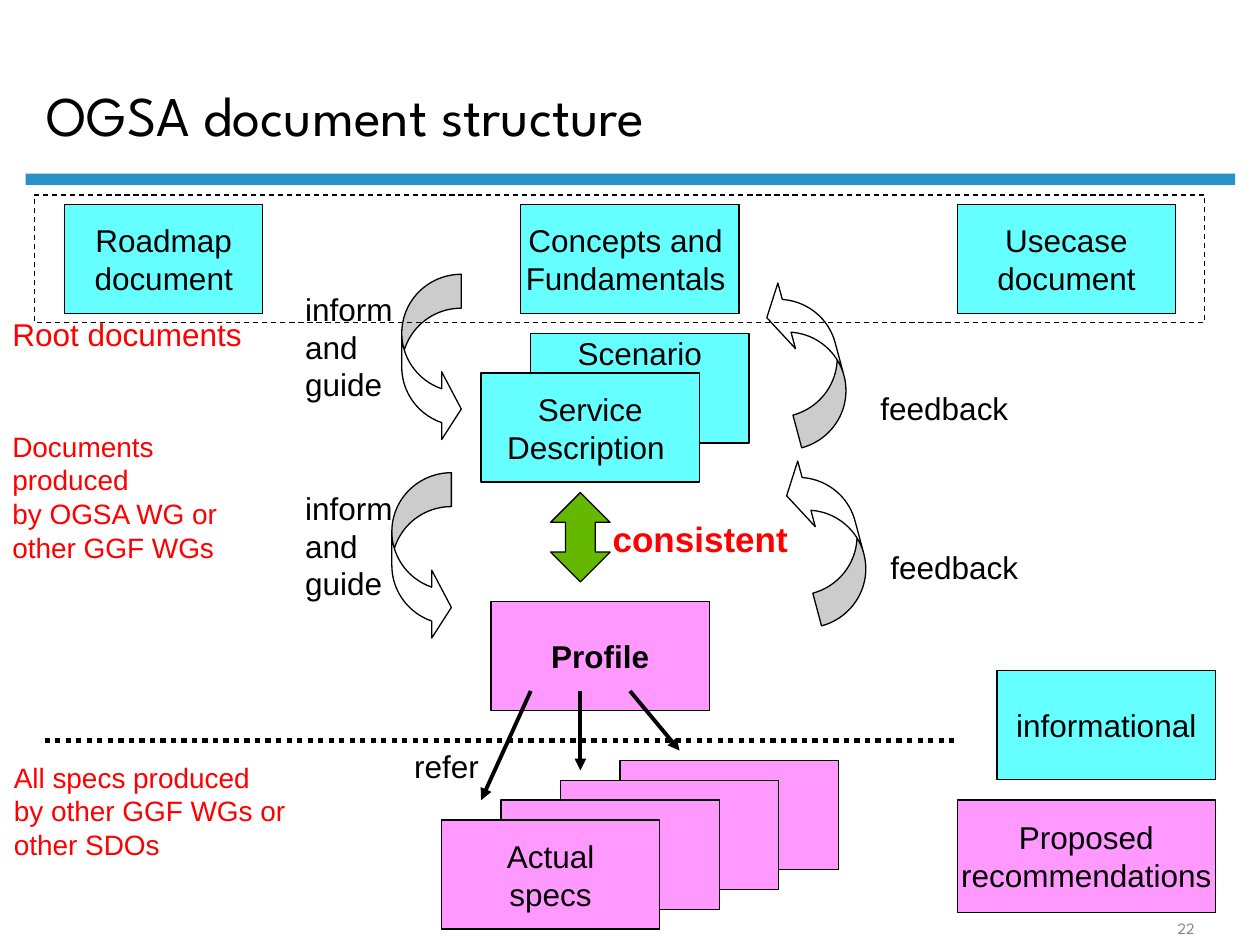
from lxml.etree import SubElement
from pptx import Presentation
from pptx.dml.color import RGBColor
from pptx.enum.dml import MSO_LINE
from pptx.enum.shapes import MSO_CONNECTOR, MSO_SHAPE
from pptx.enum.text import MSO_ANCHOR, MSO_AUTO_SIZE, PP_ALIGN
from pptx.oxml.ns import qn
from pptx.util import Cm, Pt

BLACK = RGBColor(0x00, 0x00, 0x00)
WHITE = RGBColor(0xFF, 0xFF, 0xFF)
RED = RGBColor(0xFF, 0x00, 0x00)
GREY = RGBColor(0x84, 0x85, 0x89)
BLUE = RGBColor(0x29, 0x90, 0xCA)
CYAN = RGBColor(0x66, 0xFF, 0xFF)
PINK = RGBColor(0xFF, 0x99, 0xFF)
GREEN = RGBColor(0x64, 0xB9, 0x00)

BODY_FONT = "Arial"
TITLE_FONT = "League Spartan"
BOX_WIDTH, BOX_HEIGHT = 4.4, 2.2
CURVED_SIZE = (1.2, 3.4)

# text, left, top, width, height, fill
ROOT_BOXES = [
    ("Roadmap\ndocument", 1.3, 4.12, 4, BOX_HEIGHT, CYAN),
    ("Concepts and \nFundamentals ", 10.5, 4.12, BOX_WIDTH, BOX_HEIGHT, CYAN),
    ("Usecase\ndocument", 19.3, 4.12, BOX_WIDTH, BOX_HEIGHT, CYAN),
]
LEGEND_BOXES = [
    ("Proposed\nrecommendations", 19.3, 16.13, 5.2, 2.26, PINK),
    ("informational", 20.1, 13.52, BOX_WIDTH, BOX_HEIGHT, CYAN),
]
# text, left, top, width, height, format
LABELS = [
    ("consistent", 12.1, 10.3, 4.04, 1.12, {"size": Pt(20), "bold": True, "color": RED}),
    ("inform\nand\nguide", 5.9, 5.72, 2.44, 2.54, {}),
    ("inform\nand\nguide", 5.9, 9.73, 2.44, 2.54, {}),
    ("feedback", 17.7, 10.92, 3.1, 1.02, {}),
    ("feedback", 17.5, 7.72, 3.1, 1.02, {}),
    ("refer", 8.1, 14.93, 1.85, 1.02, {}),
    ("All specs produced\nby other GGF WGs or\nother SDOs",
     0.03, 15.2, 6, 2.29, {"size": Pt(16), "color": RED}),
    ("Root documents", 0, 6.22, 5.13, 1.02, {"color": RED}),
]
# left, top, rotation
CURVED_ARROWS = [(8.1, 5.53, 0), (7.9, 9.53, 0), (16.1, 9.12, 165), (15.7, 5.53, 165)]
REFER_ARROWS = [
    (10.7, 13.93, 9.7, 16.13),
    (11.7, 13.93, 11.7, 15.53),
    (12.7, 13.93, 13.7, 15.13),
]


def write_text(shape, text, wrap=False, anchor=MSO_ANCHOR.TOP, align=PP_ALIGN.LEFT, **formats):
    frame = shape.text_frame
    frame.word_wrap = wrap
    frame.vertical_anchor = anchor
    frame.text = text
    values = {"name": BODY_FONT, "size": Pt(18), "color": BLACK, **formats}
    color = values.pop("color")
    for paragraph in frame.paragraphs:
        paragraph.alignment = align
        for name, value in values.items():
            setattr(paragraph.font, name, value)
        paragraph.font.color.rgb = color


def add_label(slide, text, left, top, width, height, **formats):
    """Add a text box; one that does not wrap takes the size of its text."""
    label = slide.shapes.add_textbox(Cm(left), Cm(top), Cm(width), Cm(height))
    write_text(label, text, **formats)
    if not label.text_frame.word_wrap:
        label.text_frame.auto_size = MSO_AUTO_SIZE.SHAPE_TO_FIT_TEXT
    return label


def add_figure(slide, kind, left, top, width, height, fill=None, line=BLACK):
    shape = slide.shapes.add_shape(kind, Cm(left), Cm(top), Cm(width), Cm(height))
    shape.shadow.inherit = False
    if fill is None:
        shape.fill.background()
    else:
        shape.fill.solid()
        shape.fill.fore_color.rgb = fill
    if line is None:
        shape.line.fill.background()
    else:
        shape.line.color.rgb = line
        shape.line.width = Pt(0.75)
    return shape


def add_box(slide, text, left, top, width, height, fill, **formats):
    box = add_figure(slide, MSO_SHAPE.RECTANGLE, left, top, width, height, fill)
    if text:
        options = {"anchor": MSO_ANCHOR.MIDDLE, "align": PP_ALIGN.CENTER, **formats}
        write_text(box, text, **options)
    return box


def adjust(shape, *values):
    for index, value in enumerate(values):
        shape.adjustments[index] = value


def add_double_arrow(slide):
    arrow = add_figure(slide, MSO_SHAPE.UP_DOWN_ARROW, 11.1, 9.93, 1.2, 1.8, GREEN)
    adjust(arrow, 0.3, 0.5)


def add_curved_arrow(slide, left, top, rotation):
    arrow = add_figure(slide, MSO_SHAPE.CURVED_RIGHT_ARROW, left, top, *CURVED_SIZE, WHITE)
    arrow.rotation = rotation
    adjust(arrow, 0.57, 1.14, 0.33)


def add_line(slide, start_x, start_y, end_x, end_y, width, dash=None, arrowhead=False):
    connector = slide.shapes.add_connector(
        MSO_CONNECTOR.STRAIGHT, Cm(start_x), Cm(start_y), Cm(end_x), Cm(end_y))
    connector.line.color.rgb = BLACK
    connector.line.width = Pt(width)
    if dash is not None:
        connector.line.dash_style = dash
    if arrowhead:
        SubElement(connector.line._get_or_add_ln(), qn("a:tailEnd"), type="triangle")
    SubElement(connector._element.spPr, qn("a:effectLst"))


def add_heading(slide):
    add_figure(slide, MSO_SHAPE.RECTANGLE, 0.52, 3.5, 24.38, 0.23, BLUE, line=None)
    title = add_label(slide, "OGSA document structure", 0.69, 1.12, 23.6, 2, wrap=True,
                      anchor=MSO_ANCHOR.BOTTOM, name=TITLE_FONT, size=Pt(32))
    title.text_frame.paragraphs[0].line_spacing = 0.9


def add_document_boxes(slide):
    for box in ROOT_BOXES:
        add_box(slide, *box)
    scenario = add_box(slide, "Scenario", 10.7, 6.73, BOX_WIDTH, BOX_HEIGHT, CYAN,
                       anchor=MSO_ANCHOR.TOP)
    scenario.text_frame.margin_top = 0
    add_box(slide, "Service\nDescription ", 9.7, 7.52, BOX_WIDTH, BOX_HEIGHT, CYAN)
    add_box(slide, "Profile", 9.9, 12.12, BOX_WIDTH, BOX_HEIGHT, PINK, bold=True)
    for index, text in enumerate(("", "", "", "Actual\nspecs")):
        add_box(slide, text, 12.5 - 1.2 * index, 15.33 + 0.4 * index,
                BOX_WIDTH, BOX_HEIGHT, PINK)


def main():
    presentation = Presentation()
    presentation.slide_width, presentation.slide_height = Cm(25.4), Cm(19.05)
    slide = presentation.slides.add_slide(presentation.slide_layouts[6])

    add_heading(slide)
    add_document_boxes(slide)
    for arrow in CURVED_ARROWS:
        add_curved_arrow(slide, *arrow)
    for arrow in REFER_ARROWS:
        add_line(slide, *arrow, 2.25, arrowhead=True)
    add_double_arrow(slide)
    for *label, formats in LABELS:
        add_label(slide, *label, **formats)
    for box in LEGEND_BOXES:
        add_box(slide, *box)
    add_line(slide, 0.9, 14.93, 19.3, 14.93, 3, dash=MSO_LINE.ROUND_DOT)
    root_frame = add_figure(slide, MSO_SHAPE.RECTANGLE, 0.69, 3.93, 23.6, 2.58)
    root_frame.line.dash_style = MSO_LINE.DASH
    add_label(slide, "Documents produced\nby OGSA WG or other GGF WGs",
              0, 8.53, 5.6, 2.97, wrap=True, size=Pt(16), color=RED)
    add_label(slide, "22", 22.86, 18.41, 2.1, 0.62, wrap=True, anchor=MSO_ANCHOR.BOTTOM,
              align=PP_ALIGN.CENTER, name=TITLE_FONT, size=Pt(9), color=GREY)

    presentation.save("out.pptx")


if __name__ == "__main__":
    main()
